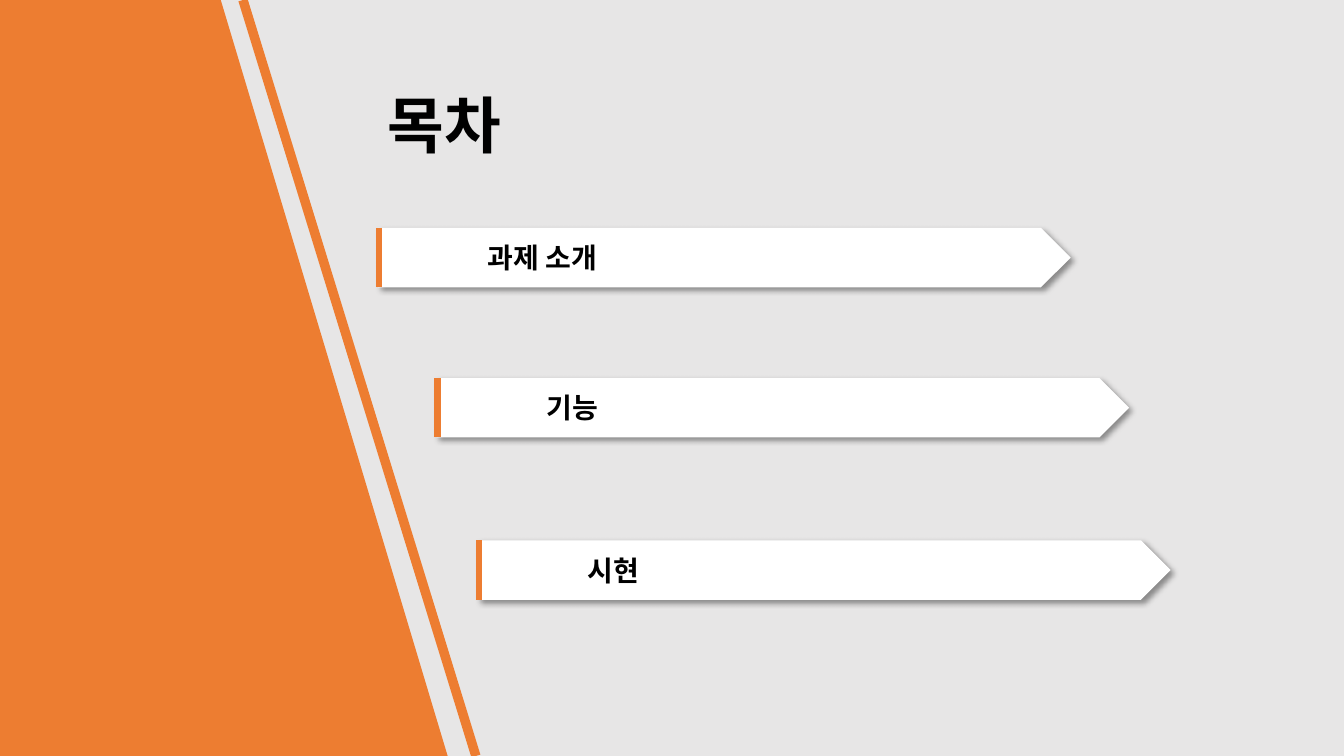
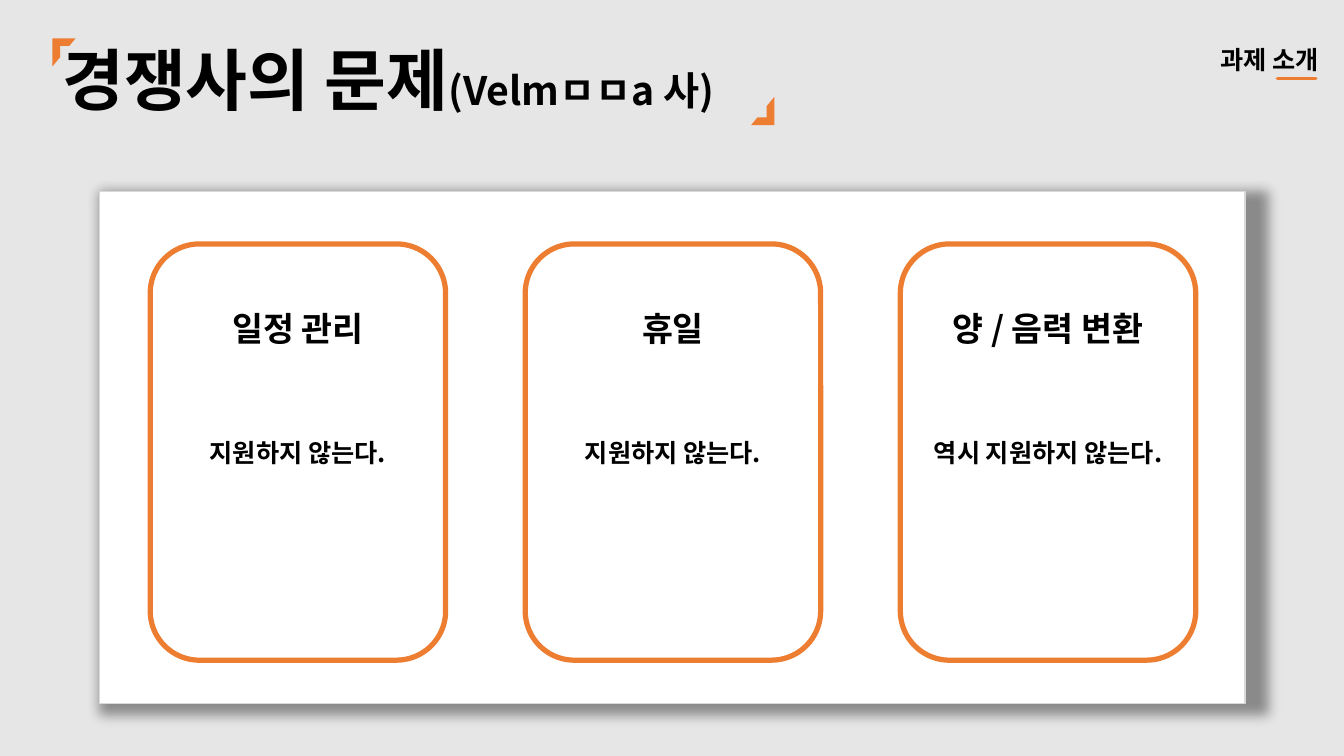
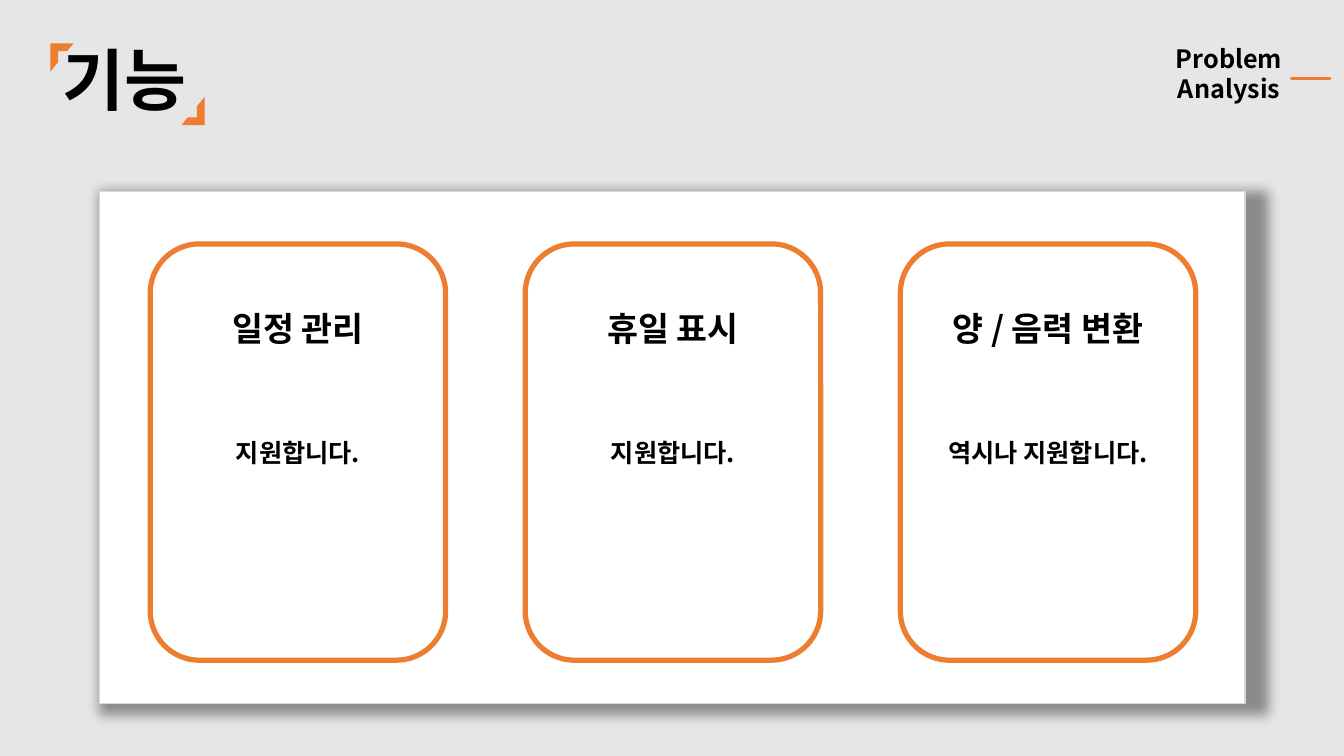
from pptx import Presentation
from pptx.dml.color import RGBColor
from pptx.enum.shapes import MSO_CONNECTOR, MSO_SHAPE
from pptx.enum.text import MSO_ANCHOR, PP_ALIGN
from pptx.oxml.ns import qn
from pptx.util import Inches, Pt
from lxml.etree import SubElement

COLORS = {"background": "E7E6E6", "accent": "ED7D31", "panel": "FFFFFF",
          "panel_line": "D9D9D9", "text": "000000"}
FONT = "Noto Sans CJK KR"
SLIDE_WIDTH, SLIDE_HEIGHT = 13.33, 7.5

AGENDA_TITLE = "목차"
AGENDA = [("과제 소개", 3.75, 2.26), ("기능", 4.33, 3.75), ("시현", 4.74, 5.36)]
PLATE_WIDTH, PLATE_HEIGHT = 6.87, 0.59
WEDGE = [(0, 0), (2.19, 0), (4.44, SLIDE_HEIGHT), (0, SLIDE_HEIGHT)]
STRIPE = [(2.41, 0), (4.72, SLIDE_HEIGHT)]

CARD_SLIDES = [
    {"title": [("경쟁사의 문제", 48), ("(Velmㅁㅁa 사)", 28)], "title_width": 7.6,
     "frames": [(0.52, 0.38), (7.45, 0.96)],
     "section": "과제 소개", "section_box": (11.07, 0.39, 2.11, 0.4),
     "section_align": PP_ALIGN.RIGHT, "dash_left": 12.67,
     "cards": [("일정 관리", "지원하지 않는다."), ("휴일", "지원하지 않는다."),
               ("양 / 음력 변환", "역시 지원하지 않는다.")]},
    {"title": [("기능", 48)], "title_width": 5.02,
     "frames": [(0.5, 0.43), (1.8, 0.96)],
     "section": "Problem Analysis", "section_box": (11.05, 0.38, 2.28, 0.4),
     "section_align": PP_ALIGN.CENTER, "dash_left": 12.81,
     "cards": [("일정 관리", "지원합니다."), ("휴일 표시", "지원합니다."),
               ("양 / 음력 변환", "역시나 지원합니다.")]},
]
PANEL = (0.99, 1.9, 11.36, 5.08)
CARD_LEFT, CARD_TOP, CARD_WIDTH, CARD_HEIGHT = 1.49, 2.42, 2.93, 4.13
CARD_STEP = 3.72
HEADING_TOP, HEADING_WIDTH, HEADING_HEIGHT = 3.01, 2.47, 0.5

PLATE_SHADOW = {"blurRad": Pt(4), "dist": Pt(3), "dir": 45 * 60000,
                "algn": "tl", "rotWithShape": 0}
PANEL_SHADOW = {"blurRad": Pt(9), "dist": 0, "dir": 230 * 60000, "sx": 102000,
                "sy": 102000, "algn": "tl", "rotWithShape": 0}


def color(name):
    """Look up a palette colour."""
    return RGBColor.from_string(COLORS[name])


def new_slide(presentation):
    """Add a blank slide with the shared background."""
    slide = presentation.slides.add_slide(presentation.slide_layouts[6])
    slide.background.fill.solid()
    slide.background.fill.fore_color.rgb = color("background")
    return slide


def write(shape, runs, align=PP_ALIGN.LEFT, anchor=MSO_ANCHOR.TOP,
          inset=0.1, spacing=None):
    """Fill a shape with one paragraph of (text, size) runs."""
    frame = shape.text_frame
    frame_format = {"word_wrap": True, "vertical_anchor": anchor,
                    "margin_left": Inches(inset)}
    for name, value in frame_format.items():
        setattr(frame, name, value)
    paragraph = frame.paragraphs[0]
    paragraph.alignment = align
    paragraph.line_spacing = spacing
    for text, size in runs:
        run = paragraph.add_run()
        run.text = text
        for name, value in {"name": FONT, "size": Pt(size), "bold": True}.items():
            setattr(run.font, name, value)
        run.font.color.rgb = color("text")
        SubElement(run.font._element, qn("a:ea"), typeface=FONT)


def add_text(slide, box, runs, **layout):
    """Add a wrapped text box."""
    write(slide.shapes.add_textbox(*map(Inches, box)), runs, **layout)


def paint(shape, fill=None, line=None, width=1):
    """Set fill and outline, and drop the theme shadow."""
    shape.shadow.inherit = False
    if fill:
        shape.fill.solid()
        shape.fill.fore_color.rgb = color(fill)
    else:
        shape.fill.background()
    if line:
        shape.line.color.rgb = color(line)
        shape.line.width = Pt(width)
    else:
        shape.line.fill.background()


def add_shape(slide, kind, box, **look):
    """Add a painted preset shape."""
    shape = slide.shapes.add_shape(kind, *map(Inches, box))
    paint(shape, **look)
    return shape


def cast_shadow(shape, settings):
    """Give a shape a 40% black outer shadow."""
    effects = shape._element.spPr.find(qn("a:effectLst"))
    shadow = SubElement(effects, qn("a:outerShdw"),
                        {name: str(value) for name, value in settings.items()})
    tone = SubElement(shadow, qn("a:srgbClr"), val=COLORS["text"])
    SubElement(tone, qn("a:alpha"), val="40000")


def add_line(slide, start, end, width, round_cap=False):
    """Add a straight accent line."""
    line = slide.shapes.add_connector(MSO_CONNECTOR.STRAIGHT,
                                      *map(Inches, (*start, *end)))
    line.line.color.rgb = color("accent")
    line.line.width = Pt(width)
    if round_cap:
        line.line._get_or_add_ln().set("cap", "rnd")
    SubElement(line._element.spPr, qn("a:effectLst"))


def build_agenda(presentation):
    """Build the contents slide."""
    slide = new_slide(presentation)
    points = [(Inches(x), Inches(y)) for x, y in WEDGE]
    builder = slide.shapes.build_freeform(*points[0])
    builder.add_line_segments(points[1:], close=True)
    paint(builder.convert_to_shape(), fill="accent")
    add_line(slide, *STRIPE, 6.75)
    add_text(slide, (3.75, 0.55, 9, 1.45), [(AGENDA_TITLE, 44)],
             anchor=MSO_ANCHOR.MIDDLE, spacing=0.9)
    for text, left, top in AGENDA:
        plate = add_shape(slide, MSO_SHAPE.PENTAGON,
                          (left, top, PLATE_WIDTH, PLATE_HEIGHT), fill="panel")
        cast_shadow(plate, PLATE_SHADOW)
        write(plate, [(text, 20)], anchor=MSO_ANCHOR.MIDDLE, inset=1.09)
        add_line(slide, (left + 0.01, top), (left + 0.01, top + PLATE_HEIGHT), 4.5)


def build_cards(presentation, content):
    """Build a titled slide with three cards on a white panel."""
    slide = new_slide(presentation)
    add_text(slide, content["section_box"], [(content["section"], 18)],
             align=content["section_align"])
    dash_left = content["dash_left"]
    add_line(slide, (dash_left, 0.78), (dash_left + 0.38, 0.78), 2.5, round_cap=True)
    add_text(slide, (0.52, 0.33, content["title_width"], 0.91), content["title"])
    for corner, rotation in zip(content["frames"], (0, 180)):
        frame = add_shape(slide, MSO_SHAPE.HALF_FRAME, (*corner, 0.23, 0.28),
                          fill="accent")
        frame.rotation = rotation
    panel = add_shape(slide, MSO_SHAPE.RECTANGLE, PANEL, fill="panel",
                      line="panel_line")
    cast_shadow(panel, PANEL_SHADOW)
    for index, (heading, body) in enumerate(content["cards"]):
        left = CARD_LEFT + index * CARD_STEP
        card = add_shape(slide, MSO_SHAPE.ROUNDED_RECTANGLE,
                         (left, CARD_TOP, CARD_WIDTH, CARD_HEIGHT),
                         line="accent", width=3.75)
        write(card, [(body, 18)], align=PP_ALIGN.CENTER, anchor=MSO_ANCHOR.MIDDLE)
        heading_left = left + (CARD_WIDTH - HEADING_WIDTH) / 2
        add_text(slide, (heading_left, HEADING_TOP, HEADING_WIDTH, HEADING_HEIGHT),
                 [(heading, 24)], align=PP_ALIGN.CENTER)


def main():
    """Build and save the presentation."""
    presentation = Presentation()
    presentation.slide_width = Inches(SLIDE_WIDTH)
    presentation.slide_height = Inches(SLIDE_HEIGHT)
    build_agenda(presentation)
    for content in CARD_SLIDES:
        build_cards(presentation, content)
    presentation.save("out.pptx")


main()
